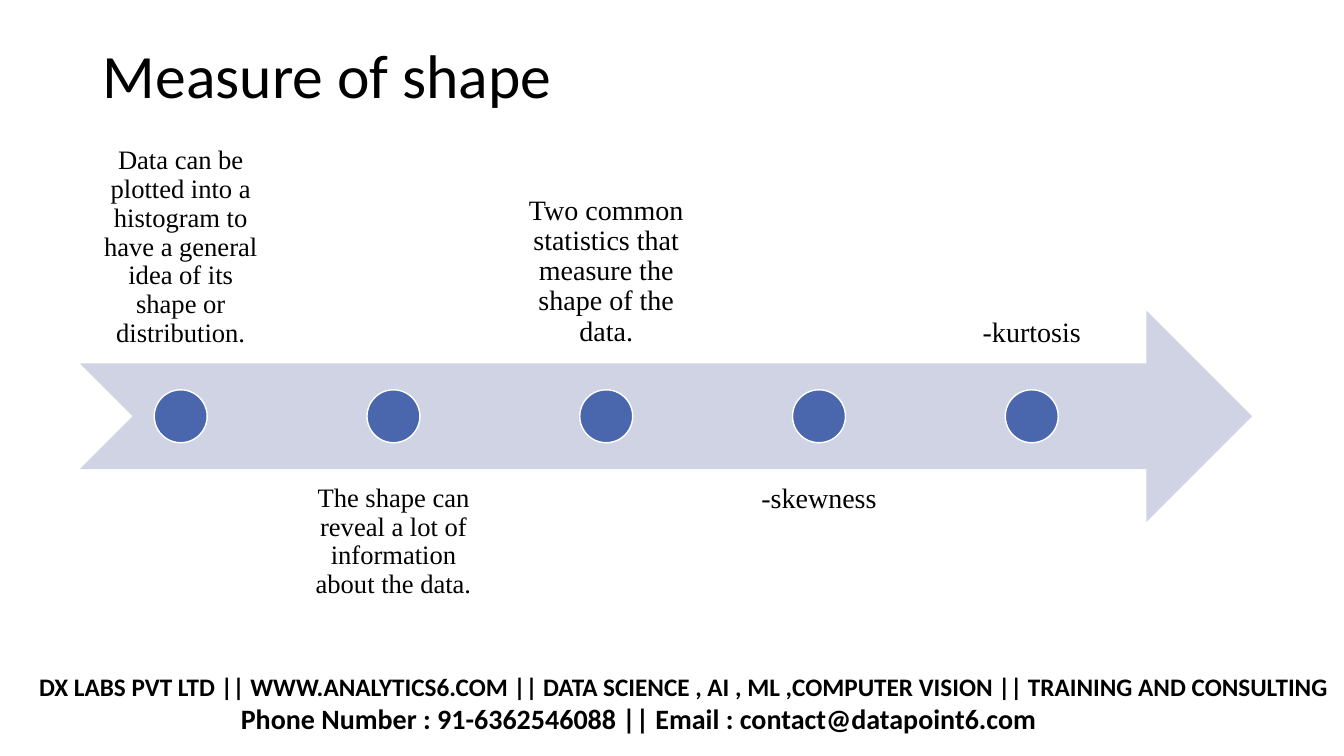
from pptx import Presentation
from pptx.dml.color import RGBColor
from pptx.enum.shapes import MSO_SHAPE
from pptx.enum.text import MSO_ANCHOR, PP_ALIGN
from pptx.util import Inches, Pt

BLACK = RGBColor(0x00, 0x00, 0x00)
WHITE = RGBColor(0xFF, 0xFF, 0xFF)
BLUE = RGBColor(0x4A, 0x66, 0xAC)
PALE_BLUE = RGBColor(0xD0, 0xD3, 0xE3)
HEADING_FONT = "Calibri"
LABEL_FONT = "Times New Roman"

STEPS = [
    ("Data can be plotted into a histogram to have a general idea of its shape or distribution.", 19),
    ("The shape can reveal a lot of information about the data.", 19),
    ("Two common statistics that measure the shape of the data.", 20),
    ("-skewness", 20),
    ("-kurtosis", 20),
]


def set_font(font, name, size, bold=None):
    """Apply a black font of the given face and size."""
    font.name, font.size, font.bold = name, Pt(size), bold
    font.color.rgb = BLACK


def add_shape(s, kind, left, top, width, height, color):
    """Add a flat filled shape without an outline."""
    sp = s.shapes.add_shape(kind, *map(Inches, (left, top, width, height)))
    sp.shadow.inherit = False
    sp.fill.solid()
    sp.fill.fore_color.rgb = color
    sp.line.fill.background()
    return sp


def add_title(s, text, left, top, width, height):
    """Place the title placeholder in the given box."""
    sp = s.shapes.title
    sp.left, sp.top, sp.width, sp.height = map(Inches, (left, top, width, height))
    tf = sp.text_frame
    tf.text = text
    tf.vertical_anchor = MSO_ANCHOR.TOP
    p = tf.paragraphs[0]
    p.alignment, p.line_spacing = PP_ALIGN.LEFT, 0.9
    set_font(p.font, HEADING_FONT, 44)


def add_label(s, text, size, anchor, left, top, width, height):
    """Add one centred step label."""
    tf = s.shapes.add_textbox(*map(Inches, (left, top, width, height))).text_frame
    tf.word_wrap = True
    tf.vertical_anchor = anchor
    margin = Inches(size * 0.008)
    tf.margin_left = tf.margin_right = tf.margin_top = tf.margin_bottom = margin
    p = tf.paragraphs[0]
    p.text = text
    p.alignment, p.line_spacing = PP_ALIGN.CENTER, 0.9
    set_font(p.font, LABEL_FONT, size)


def add_timeline(s, steps, left, top, width, height):
    """Draw the arrow with dots along it and labels alternating above and below."""
    add_shape(s, MSO_SHAPE.NOTCHED_RIGHT_ARROW, left, top, width, height, PALE_BLUE)
    pitch = width * 0.9 / (len(steps) - 0.04)
    label_width = pitch * 0.95
    dot = height / 4
    for i, (text, size) in enumerate(steps):
        x = left + i * pitch
        above = i % 2 == 0
        label_top = top + height * (-0.75 if above else 0.75)
        anchor = MSO_ANCHOR.BOTTOM if above else MSO_ANCHOR.TOP
        add_label(s, text, size, anchor, x, label_top, label_width, height)
        sp = add_shape(s, MSO_SHAPE.OVAL, x + (label_width - dot) / 2,
                       top + (height - dot) / 2, dot, dot, BLUE)
        sp.line.color.rgb = WHITE
        sp.line.width = Pt(1)


def add_footer(s, lines, left, top, width, height):
    """Add the bold contact lines, each with its size and indent."""
    tf = s.shapes.add_textbox(*map(Inches, (left, top, width, height))).text_frame
    tf.word_wrap = True
    for i, (text, size, indent) in enumerate(lines):
        p = tf.add_paragraph() if i else tf.paragraphs[0]
        p.text = text
        p._p.get_or_add_pPr().set("marL", str(Inches(indent)))
        set_font(p.font, HEADING_FONT, size, True)


def main():
    """Build and save the slide."""
    prs = Presentation()
    prs.slide_width, prs.slide_height = Inches(13.33), Inches(7.5)
    s = prs.slides.add_slide(prs.slide_layouts[5])
    add_title(s, "Measure of shape", 0.92, 0.4, 11.5, 1.45)
    add_timeline(s, STEPS, 0.79, 3.08, 11.63, 2.1)
    add_footer(s, [
        ("DX LABS PVT LTD || WWW.ANALYTICS6.COM || DATA SCIENCE , AI , ML ,"
         "COMPUTER VISION || TRAINING AND CONSULTING", 18, 0),
        ("Phone Number : 91-6362546088 || Email : contact@datapoint6.com", 20, 2),
    ], 0.29, 6.61, 13.35, 0.4)
    prs.save("out.pptx")


if __name__ == "__main__":
    main()
